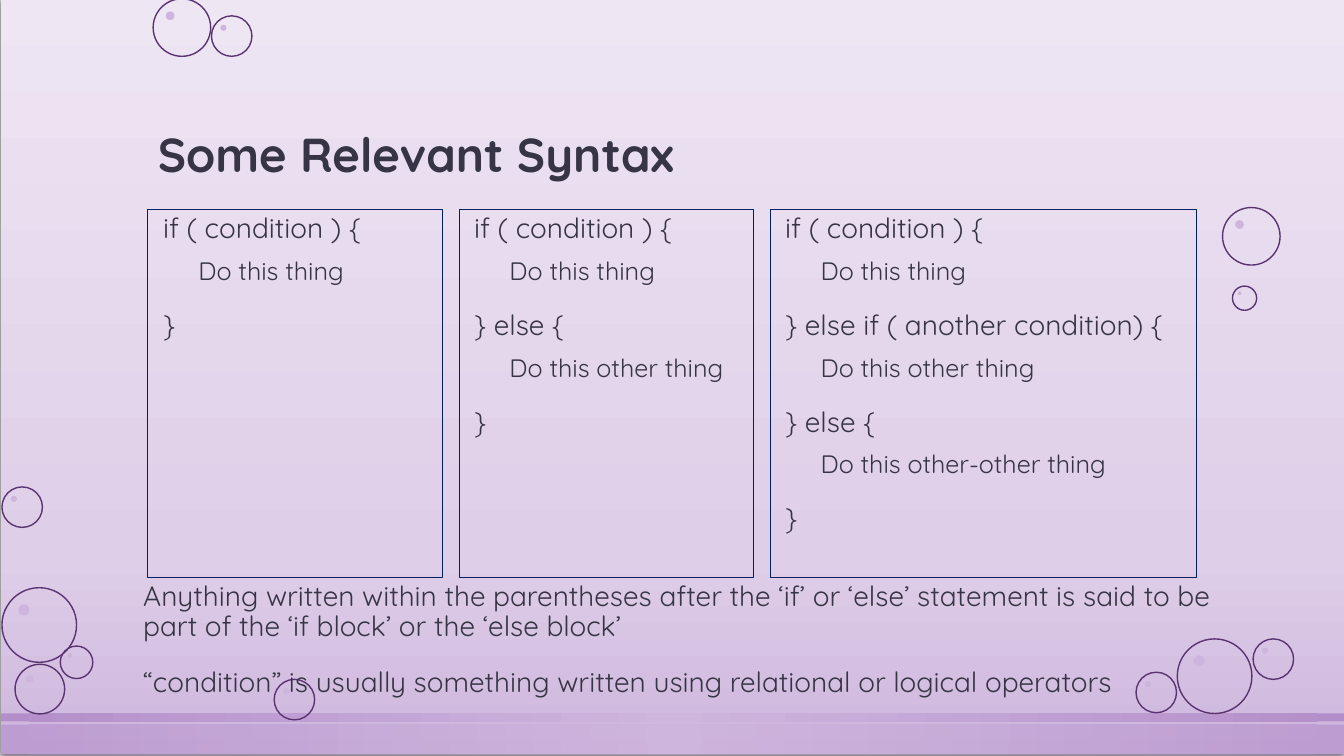
from pptx import Presentation
from pptx.dml.color import RGBColor
from pptx.enum.shapes import MSO_SHAPE
from pptx.enum.text import MSO_ANCHOR, PP_ALIGN
from pptx.oxml import parse_xml
from pptx.oxml.ns import nsdecls, qn
from pptx.util import Cm, Pt

RECT, OVAL = MSO_SHAPE.RECTANGLE, MSO_SHAPE.OVAL
TOP, BOTTOM = MSO_ANCHOR.TOP, MSO_ANCHOR.BOTTOM
LEFT = PP_ALIGN.LEFT

FONT = "Quicksand"
INK = RGBColor(0x37, 0x35, 0x45)
NAVY = RGBColor(0x00, 0x20, 0x60)
PURPLE = RGBColor(0x5A, 0x34, 0x71)
PALE = RGBColor(0xEF, 0xE6, 0xF4)
LIGHT = RGBColor(0xDE, 0xCE, 0xE8)
LILAC = RGBColor(0xCE, 0xB5, 0xDD)
VIOLET = RGBColor(0xAD, 0x84, 0xC6)

DOWN = '<a:lin ang="5400000" scaled="0"/>'
ROUND = ('<a:path path="circle"><a:fillToRect l="50000" t="50000" '
         'r="50000" b="50000"/></a:path>')

WIDTH, HEIGHT = 33.87, 19.05
CODE_GAP = 0.42
CODE_BLOCKS = [
    (7.42, ["if ( condition ) {", "Do this thing", "}"]),
    (7.42, ["if ( condition ) {", "Do this thing",
            "} else {", "Do this other thing", "}"]),
    (10.74, ["if ( condition ) {", "Do this thing",
             "} else if ( another condition) {", "Do this other thing",
             "} else {", "Do this other-other thing", "}"]),
]
NOTES = [
    "Anything written within the parentheses after the ‘if’ or ‘else’ "
    "statement is said to be part of the ‘if block’ or the ‘else block’",
    "“condition” is usually something written using relational or logical "
    "operators",
]
BUBBLE_CLUSTERS = [
    ((0.05, 12.27), [(0, 2.54, 1.88), (1.47, 4.01, 0.82), (0.33, 4.47, 1.25),
                     (6.86, 4.85, 1.02), (0, 0, 1.02)]),
    ((28.63, 16.1), [(1.04, 0, 1.88), (0, 0.84, 1.02), (2.95, 0, 1.02)]),
    ((30.81, 5.23), [(0, 0, 1.45), (0.25, 1.98, 0.61)]),
    ((3.86, -0.03), [(0, 0, 1.45), (1.47, 0.43, 1.02)]),
]


def add_shape(sp, kind, box, fill=None, line=None, width=1):
    """Add a preset shape, unfilled and without outline unless given."""
    s = sp.add_shape(kind, *map(Cm, box))
    s.shadow.inherit = False
    if fill is None:
        s.fill.background()
    else:
        s.fill.solid()
        s.fill.fore_color.rgb = fill
    if line is None:
        s.line.fill.background()
    else:
        s.line.color.rgb = line
        s.line.width = Pt(width)
    return s


def set_gradient(s, stops, direction, alpha=100):
    """Replace the empty fill of a shape by a gradient."""
    marks = "".join(
        f'<a:gs pos="{pos * 1000}"><a:srgbClr val="{color}">'
        f'<a:alpha val="{alpha * 1000}"/></a:srgbClr></a:gs>'
        for pos, color in stops)
    props = s._element.spPr
    props.replace(props.find(qn("a:noFill")), parse_xml(
        f'<a:gradFill {nsdecls("a")} rotWithShape="1">'
        f'<a:gsLst>{marks}</a:gsLst>{direction}</a:gradFill>'))


def set_shadow(s):
    """Give a shape a soft dark shadow below it."""
    s._element.spPr.find(qn("a:effectLst")).append(parse_xml(
        f'<a:outerShdw {nsdecls("a")} blurRad="{Pt(4.5)}" dist="{Pt(1.5)}" '
        'dir="5400000" rotWithShape="0"><a:srgbClr val="000000">'
        '<a:alpha val="63000"/></a:srgbClr></a:outerShdw>'))


def add_text(p, text, size=20, bold=False, indent=0.0, before=0):
    """Write one formatted run into a paragraph."""
    p.alignment = LEFT
    p.line_spacing = 0.9
    p.space_before = Pt(before)
    p._p.get_or_add_pPr().set("marL", str(Cm(indent)))
    r = p.add_run()
    r.text = text
    r.font.name, r.font.size, r.font.bold = FONT, Pt(size), bold
    r.font.color.rgb = INK


def start_text(s, anchor=TOP):
    """Prepare a shape's text frame and return it."""
    tf = s.text_frame
    tf.word_wrap = True
    tf.vertical_anchor = anchor
    return tf


def next_paragraph(tf, index):
    """Return the first paragraph, or a new one after it."""
    return tf.add_paragraph() if index else tf.paragraphs[0]


def draw_backdrop(sp, box):
    """Draw the shaded background and the two bands at its foot."""
    x, y, w, h = box
    s = add_shape(sp, RECT, box)
    set_gradient(s, [(0, PALE), (74, LIGHT), (100, LILAC)], DOWN)
    set_shadow(s)
    for top, height, alpha in [(18.31, 0.76, 50), (18.03, 0.2, 80)]:
        band = add_shape(sp, RECT, (x, y + top, w, height))
        set_gradient(band, [(0, LILAC), (100, VIOLET)], ROUND, alpha)


def draw_bubbles(sp, origin, bubbles):
    """Draw a cluster of outlined bubbles, each with a highlight."""
    for dx, dy, d in bubbles:
        x, y = origin[0] + dx, origin[1] + dy
        add_shape(sp, OVAL, (x, y, d, d), line=PURPLE)
        shift, dot = 0.22 * d, 0.15 * d
        add_shape(sp, OVAL, (x + shift, y + shift, dot, dot), fill=LILAC)


def draw_title(sp, box, text):
    """Draw the slide title at the bottom of its box."""
    tf = start_text(sp.add_textbox(*map(Cm, box)), BOTTOM)
    add_text(tf.paragraphs[0], text, size=34, bold=True)


def draw_code(sp, box, lines):
    """Draw a framed block whose every second line is indented."""
    tf = start_text(add_shape(sp, RECT, box, line=NAVY, width=0.75))
    for i, line in enumerate(lines):
        p = next_paragraph(tf, i)
        if i % 2:
            p.level = 1
            add_text(p, line, size=18, indent=1.02, before=10)
        else:
            add_text(p, line, indent=0.13, before=18)


def draw_code_row(sp, box, blocks):
    """Draw the code blocks side by side with equal gaps."""
    x, y, h = box
    for width, lines in blocks:
        draw_code(sp, (x, y, width, h), lines)
        x += width + CODE_GAP


def draw_notes(sp, box, notes):
    """Draw the explanatory paragraphs."""
    tf = start_text(sp.add_textbox(*map(Cm, box)))
    for i, note in enumerate(notes):
        add_text(next_paragraph(tf, i), note, indent=0.13, before=18)


def main():
    """Build the slide and save it."""
    prs = Presentation()
    prs.slide_width, prs.slide_height = Cm(WIDTH), Cm(HEIGHT)
    sp = prs.slides.add_slide(prs.slide_layouts[6]).shapes
    draw_backdrop(sp, (0.03, -0.05, WIDTH, HEIGHT))
    for origin, bubbles in BUBBLE_CLUSTERS:
        draw_bubbles(sp, origin, bubbles)
    draw_title(sp, (3.73, 1.3, 26.42, 3.43), "Some Relevant Syntax")
    draw_code_row(sp, (3.73, 5.28, 9.27), CODE_BLOCKS)
    draw_notes(sp, (3.23, 14.55, 28.55, 3.43), NOTES)
    prs.save("out.pptx")


if __name__ == "__main__":
    main()
